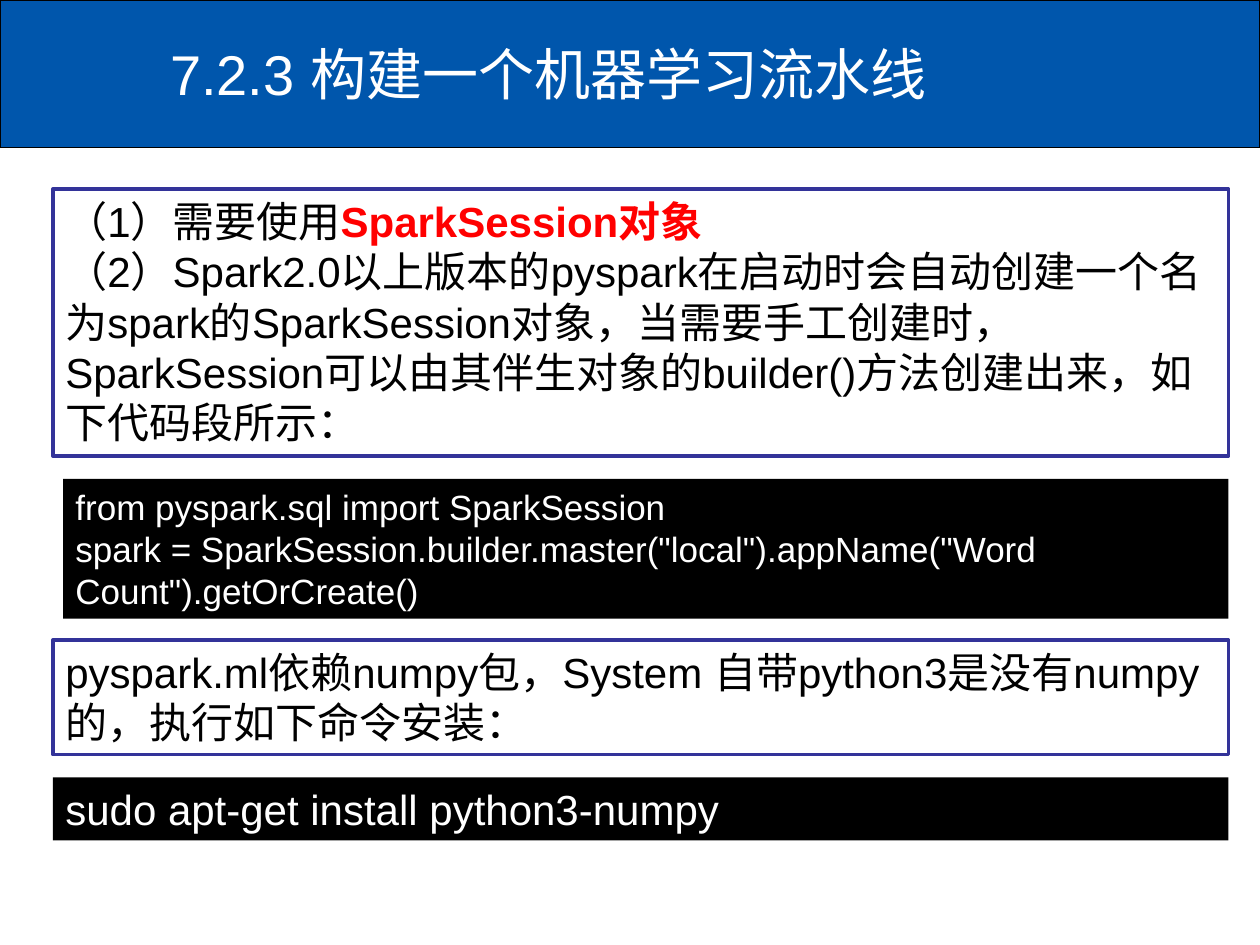
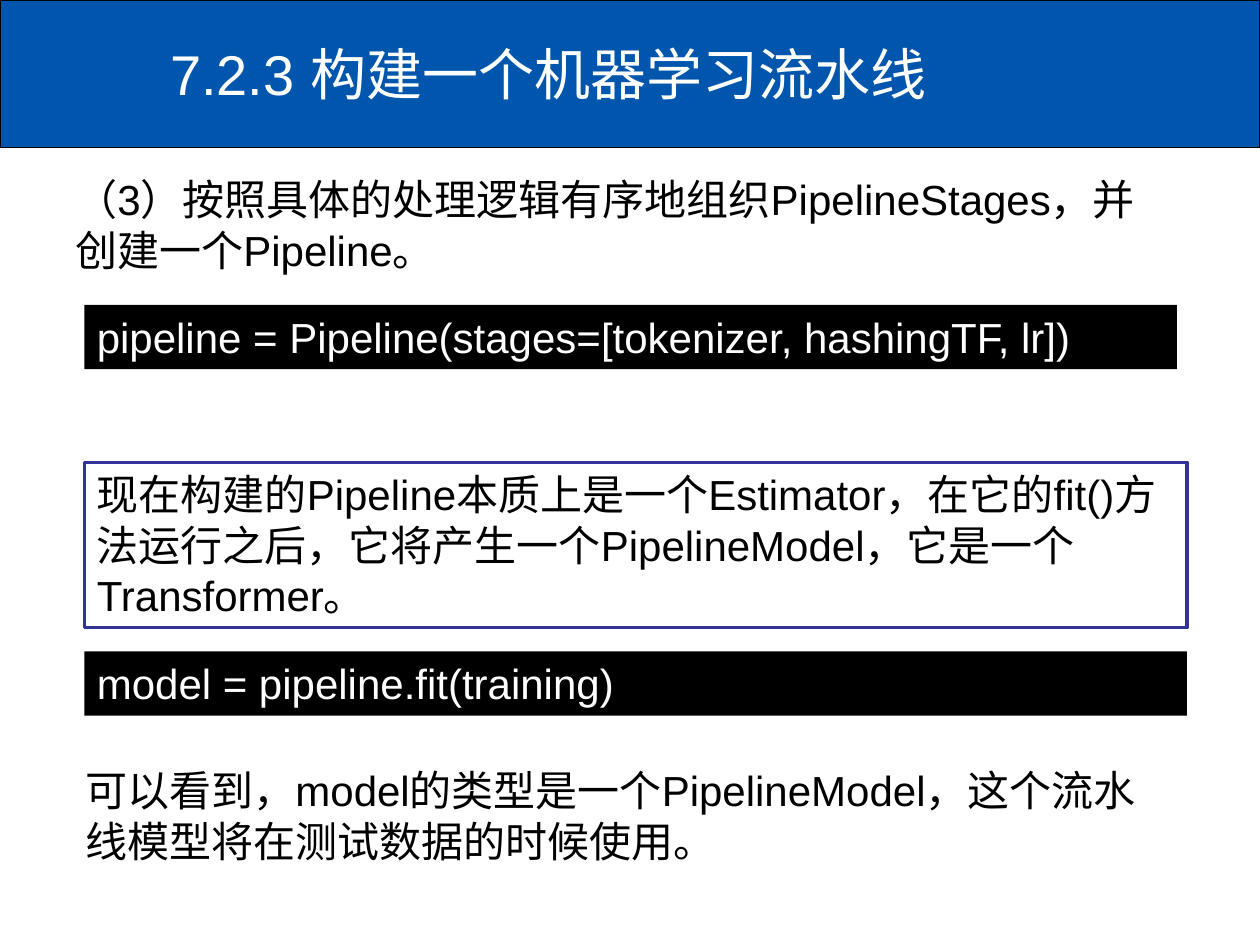
from dataclasses import dataclass
from enum import Enum

from pptx import Presentation
from pptx.dml.color import RGBColor
from pptx.enum.shapes import MSO_SHAPE as Preset
from pptx.enum.text import MSO_ANCHOR as Anchor, MSO_AUTO_SIZE as AutoSize, PP_ALIGN as Align
from pptx.slide import Slide
from pptx.util import Inches, Pt

# Shared look
BAND_BLUE = RGBColor(0x00, 0x56, 0xAC)
FRAME_BLUE = RGBColor(0x33, 0x33, 0x99)
BLACK = RGBColor(0x00, 0x00, 0x00)
WHITE = RGBColor(0xFF, 0xFF, 0xFF)
RED = RGBColor(0xFF, 0x00, 0x00)
FONT = "Arial"
TITLE_ONLY = 5
TITLE = "7.2.3 构建一个机器学习流水线"


class Style(Enum):
    PLAIN = "plain"
    FRAMED = "framed"
    CODE = "code"


@dataclass(frozen=True)
class Block:
    """A text block; each paragraph is normal text plus an optional red, bold ending."""
    style: Style
    left: float
    top: float
    width: float
    height: float
    paragraphs: tuple[tuple[str, str], ...]
    size: int = 24


def lines(*texts: str) -> tuple[tuple[str, str], ...]:
    return tuple((text, "") for text in texts)


SLIDES: tuple[tuple[Block, ...], ...] = (
    (
        Block(Style.FRAMED, 0.42, 1.5, 9.33, 2.12, (
            ("（1）需要使用", "SparkSession对象"),
            ("（2）Spark2.0以上版本的pyspark在启动时会自动创建一个名为spark的"
             "SparkSession对象，当需要手工创建时，SparkSession可以由其伴生对象的"
             "builder()方法创建出来，如下代码段所示：", ""),
        )),
        Block(Style.CODE, 0.5, 3.8, 9.25, 1.11, lines(
            "from pyspark.sql import SparkSession",
            'spark = SparkSession.builder.master("local").appName("Word Count").getOrCreate()',
        ), size=20),
        Block(Style.FRAMED, 0.42, 5.08, 9.33, 0.91, lines(
            "pyspark.ml依赖numpy包，System 自带python3是没有numpy的，执行如下命令安装：")),
        Block(Style.CODE, 0.42, 6.17, 9.33, 0.5, lines("sudo apt-get install python3-numpy")),
    ),
    (
        Block(Style.PLAIN, 0.5, 1.33, 8.83, 0.91, lines(
            "（3）按照具体的处理逻辑有序地组织PipelineStages，并创建一个Pipeline。")),
        Block(Style.CODE, 0.67, 2.42, 8.67, 0.51, lines(
            "pipeline = Pipeline(stages=[tokenizer, hashingTF, lr])")),
        Block(Style.FRAMED, 0.67, 3.67, 8.75, 1.31, lines(
            "现在构建的Pipeline本质上是一个Estimator，在它的fit()方法运行之后，"
            "它将产生一个PipelineModel，它是一个Transformer。")),
        Block(Style.CODE, 0.67, 5.17, 8.75, 0.51, lines("model = pipeline.fit(training)")),
        Block(Style.PLAIN, 0.58, 6.02, 8.83, 0.91, lines(
            "可以看到，model的类型是一个PipelineModel，"
            "这个流水线模型将在测试数据的时候使用。")),
    ),
)


def add_rectangle(slide: Slide, left: float, top: float, width: float, height: float,
                  fill: RGBColor, line: RGBColor | None = None, line_width: float = 1):
    shape = slide.shapes.add_shape(
        Preset.RECTANGLE, Inches(left), Inches(top), Inches(width), Inches(height))
    shape.shadow.inherit = False
    shape.fill.solid()
    shape.fill.fore_color.rgb = fill
    if line is None:
        shape.line.fill.background()
    else:
        shape.line.color.rgb = line
        shape.line.width = Pt(line_width)
    return shape


def add_header(slide: Slide) -> None:
    # The band goes behind the title
    band = add_rectangle(slide, 0, 0, 10, 1.17, BAND_BLUE, BLACK, 0.75)
    title = slide.shapes.title
    title._element.addprevious(band._element)

    title.left, title.top = Inches(1.25), Inches(0.08)
    title.width, title.height = Inches(8.75), Inches(1)
    frame = title.text_frame
    frame.text = TITLE
    frame.auto_size = AutoSize.NONE
    frame.vertical_anchor = Anchor.MIDDLE
    paragraph = frame.paragraphs[0]
    paragraph.alignment = Align.LEFT
    paragraph.font.name = FONT
    paragraph.font.size = Pt(32)
    paragraph.font.color.rgb = WHITE


def add_block(slide: Slide, block: Block) -> None:
    place = (block.left, block.top, block.width, block.height)
    if block.style is Style.PLAIN:
        shape = slide.shapes.add_textbox(*map(Inches, place))
    elif block.style is Style.FRAMED:
        shape = add_rectangle(slide, *place, WHITE, FRAME_BLUE, 2)
    else:
        shape = add_rectangle(slide, *place, BLACK)

    frame = shape.text_frame
    frame.word_wrap = True
    frame.auto_size = AutoSize.SHAPE_TO_FIT_TEXT
    frame.vertical_anchor = Anchor.TOP
    for index, (text, emphasis) in enumerate(block.paragraphs):
        paragraph = frame.add_paragraph() if index else frame.paragraphs[0]
        paragraph.alignment = Align.LEFT
        paragraph.font.name = FONT
        paragraph.font.size = Pt(block.size)
        paragraph.font.color.rgb = WHITE if block.style is Style.CODE else BLACK
        paragraph.add_run().text = text
        if emphasis:
            run = paragraph.add_run()
            run.text = emphasis
            run.font.bold = True
            run.font.color.rgb = RED


def main() -> None:
    presentation = Presentation()
    presentation.slide_width, presentation.slide_height = Inches(10), Inches(7.5)
    for blocks in SLIDES:
        slide = presentation.slides.add_slide(presentation.slide_layouts[TITLE_ONLY])
        add_header(slide)
        for block in blocks:
            add_block(slide, block)
    presentation.save("out.pptx")


if __name__ == "__main__":
    main()
